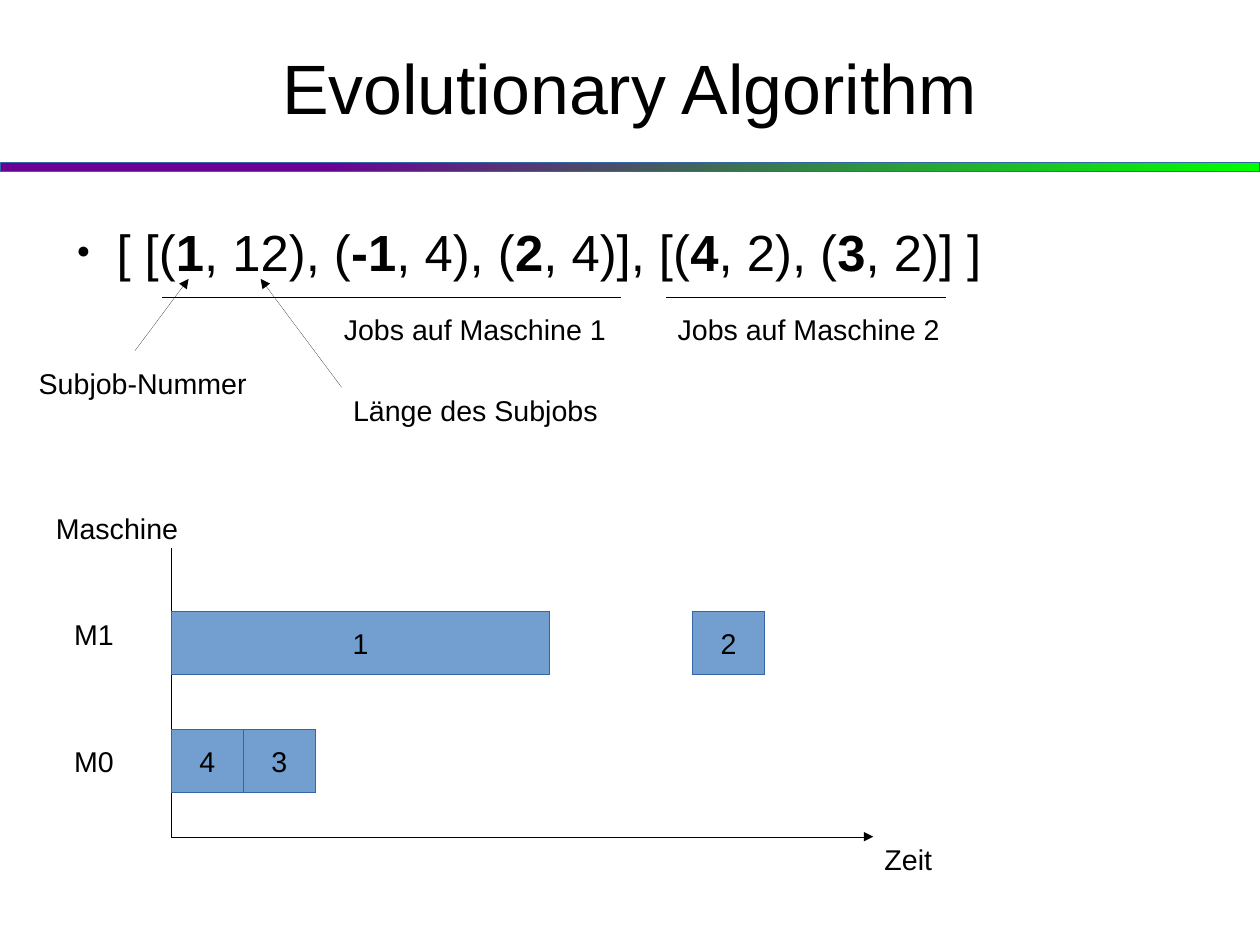
from dataclasses import dataclass

from lxml.etree import SubElement
from pptx import Presentation
from pptx.dml.color import RGBColor
from pptx.enum.shapes import MSO_CONNECTOR as Connector, MSO_SHAPE as Shape
from pptx.enum.text import MSO_ANCHOR as Anchor, MSO_AUTO_SIZE as AutoSize, PP_ALIGN as Align
from pptx.oxml.ns import qn
from pptx.util import Inches, Pt

CM_PER_INCH = 2.54


@dataclass(frozen=True)
class Theme:
    font: str = "Arial"
    ink: str = "000000"
    bar: str = "729FCF"
    outline: str = "3465A4"
    strip_start: str = "6B0094"
    strip_end: str = "00FF00"
    title: int = 44
    body: int = 32
    label: int = 18


def add_text(paragraph, text, *, theme, size, bold=False, align=None):
    """Append one formatted run to a paragraph."""
    run = paragraph.add_run()
    run.text = text
    run.font.name = theme.font
    run.font.size = Pt(size)
    run.font.bold = bold
    run.font.color.rgb = RGBColor.from_string(theme.ink)
    if align is not None:
        paragraph.alignment = align


class SlideBuilder:
    def __init__(self, slide, theme):
        self.slide = slide
        self.theme = theme

    def place(self, placeholder, left, top, width, height, anchor):
        placeholder.left, placeholder.top = Inches(left), Inches(top)
        placeholder.width, placeholder.height = Inches(width), Inches(height)
        frame = placeholder.text_frame
        frame.margin_left = frame.margin_top = frame.margin_right = frame.margin_bottom = 0
        frame.auto_size = AutoSize.NONE
        frame.vertical_anchor = anchor
        return frame.paragraphs[0]

    def title(self, text, *box):
        paragraph = self.place(self.slide.shapes.title, *box, Anchor.MIDDLE)
        add_text(paragraph, text, theme=self.theme, size=self.theme.title, align=Align.CENTER)

    def bullet(self, parts, *box):
        """Fill the body with one bullet; every second part is bold."""
        paragraph = self.place(self.slide.placeholders[1], *box, Anchor.TOP)
        paragraph.space_before = Pt(14.2)
        for index, part in enumerate(parts):
            add_text(paragraph, part, theme=self.theme, size=self.theme.body,
                     bold=index % 2 == 1, align=Align.LEFT)
        props = paragraph._p.get_or_add_pPr()
        props.set("marL", str(Inches(0.47)))
        props.set("indent", str(Inches(-0.35)))
        color = SubElement(props, qn("a:buClr"))
        SubElement(color, qn("a:srgbClr"), val=self.theme.ink)
        SubElement(props, qn("a:buSzPct"), val="45000")
        SubElement(props, qn("a:buFont"), typeface=self.theme.font)
        SubElement(props, qn("a:buChar"), char="●")

    def hairline(self, line, color):
        """Colour a line; a zero width must be written out to override the style."""
        line.color.rgb = RGBColor.from_string(color)
        outline = line._get_or_add_ln()
        outline.set("w", "0")
        return outline

    def rectangle(self, left, top, width, height):
        box = self.slide.shapes.add_shape(
            Shape.RECTANGLE, Inches(left), Inches(top), Inches(width), Inches(height))
        box.shadow.inherit = False
        self.hairline(box.line, self.theme.outline)
        return box

    def strip(self, *box):
        fill = self.rectangle(*box).fill
        fill.gradient()
        fill.gradient_angle = 0
        stops = ((0.25, self.theme.strip_start), (1, self.theme.strip_end))
        for stop, (position, color) in zip(fill.gradient_stops, stops):
            stop.position = position
            stop.color.rgb = RGBColor.from_string(color)

    def bar(self, text, *box):
        bar = self.rectangle(*box)
        bar.fill.solid()
        bar.fill.fore_color.rgb = RGBColor.from_string(self.theme.bar)
        frame = bar.text_frame
        frame.word_wrap = False
        frame.vertical_anchor = Anchor.MIDDLE
        add_text(frame.paragraphs[0], text, theme=self.theme, size=self.theme.label,
                 align=Align.CENTER)

    def label(self, text, left, top, width, height=0.38):
        box = self.slide.shapes.add_textbox(
            Inches(left), Inches(top), Inches(width), Inches(height))
        box.text_frame.word_wrap = True
        add_text(box.text_frame.paragraphs[0], text, theme=self.theme, size=self.theme.label)

    def line(self, start, end, arrow=False):
        line = self.slide.shapes.add_connector(
            Connector.STRAIGHT, *(Inches(value) for value in (*start, *end)))
        outline = self.hairline(line.line, self.theme.ink)
        if arrow:
            SubElement(outline, qn("a:tailEnd"), type="triangle")
        SubElement(line._element.spPr, qn("a:effectLst"))


def main():
    deck = Presentation()
    deck.slide_width, deck.slide_height = Inches(28 / CM_PER_INCH), Inches(21 / CM_PER_INCH)
    page = SlideBuilder(deck.slides.add_slide(deck.slide_layouts[1]), Theme())

    # Heading and encoded schedule
    page.strip(0, 1.42, 11.02, 0.08)
    page.title("Evolutionary Algorithm", 0.55, 0.33, 9.92, 0.85)
    schedule = ("[ [(", "1", ", 12), (", "-1", ", 4), (", "2", ", 4)], [(",
                "4", ", 2), (", "3", ", 2)] ]")
    page.bullet(schedule, 0.55, 1.93, 9.92, 4.79)

    # Underlined job lists
    underline_y = 2.6
    for text, start, end, label_left in (("Jobs auf Maschine 1", 1.42, 5.43, 2.91),
                                         ("Jobs auf Maschine 2", 5.83, 8.27, 5.83)):
        page.line((start, underline_y), (end, underline_y))
        page.label(text, label_left, 2.68, 3.15)

    # Notes on the parts of a pair
    page.label("Subjob-Nummer", 0.24, 3.15, 2.52, 0.71)
    page.line((1.18, 3.07), (1.65, 2.44), arrow=True)
    page.label("Länge des Subjobs", 2.99, 3.39, 5.98)
    page.line((2.99, 3.39), (2.28, 2.44), arrow=True)

    # Chart axes
    origin_x, origin_y, time_end = 1.5, 7.32, 7.64
    page.line((origin_x, 4.8), (origin_x, origin_y))
    page.line((origin_x, origin_y), (time_end, origin_y), arrow=True)
    page.label("Maschine", 0.39, 4.42, 1.81)
    page.label("Zeit", time_end, origin_y, 1.26)

    # Machine rows: name, label top and width, bar top, jobs as (number, offset, width)
    short_job, bar_height = 0.63, 0.55
    machines = (
        ("M1", 5.35, 0.55, 5.35, (("1", 0, 3.31), ("2", 4.56, short_job))),
        ("M0", 6.46, 0.79, 6.38, (("4", 0, short_job), ("3", short_job, short_job))),
    )
    for machine, label_top, label_width, bar_top, jobs in machines:
        page.label(machine, 0.55, label_top, label_width)
        for number, offset, width in jobs:
            page.bar(number, origin_x + offset, bar_top, width, bar_height)

    deck.save("out.pptx")


if __name__ == "__main__":
    main()
